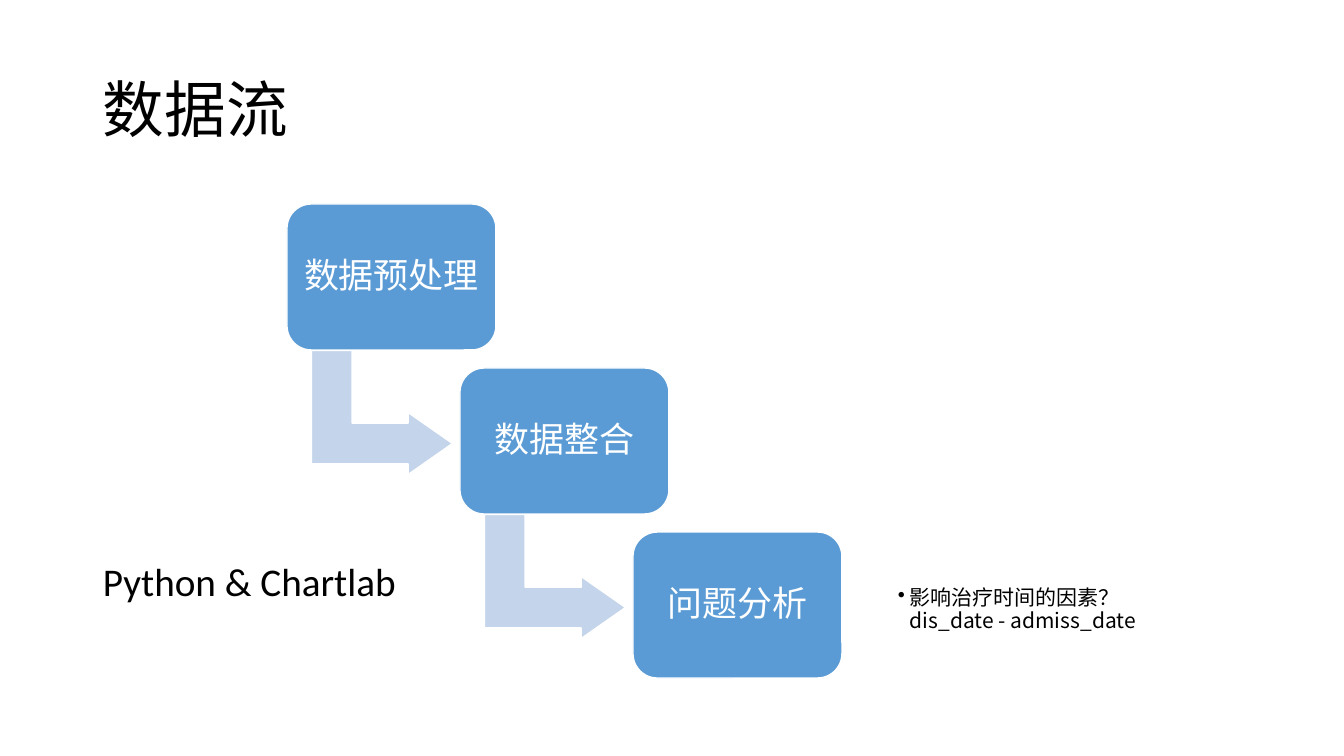
from lxml import etree
from pptx import Presentation
from pptx.dml.color import RGBColor
from pptx.enum.shapes import MSO_SHAPE
from pptx.enum.text import MSO_ANCHOR, PP_ALIGN
from pptx.oxml.ns import qn
from pptx.util import Emu, Pt

TITLE = "数据流"
STEPS = ["数据预处理", "数据整合", "问题分析"]
QUESTION = "影响治疗时间的因素？dis_date - admiss_date"
TOOLS = "Python & Chartlab"

SLIDE_SIZE = (1344, 756)
TITLE_BOX = (93, 40, 1159, 146)
QUESTION_BOX = (890, 551, 277, 118)
TOOLS_BOX = (93, 552, 335, 57)
FIRST_STEP = (287, 204)
STEP_SIZE = (209, 146)
STEP_SHIFT = (173, 164)
ARROW_OFFSET = (33, 138)
ARROW_SIZE = (124, 141)
ARROW_BENDS = (0.328, 0.25, 0.358)
BULLET_INDENT = 12

BLACK = RGBColor(0x00, 0x00, 0x00)
WHITE = RGBColor(0xFF, 0xFF, 0xFF)
BLUE = RGBColor(0x5B, 0x9B, 0xD5)
PALE_BLUE = RGBColor(0xC4, 0xD5, 0xEB)
CHINESE = "Noto Sans CJK SC"
LATIN = "Calibri"

MIDDLE, TOP = MSO_ANCHOR.MIDDLE, MSO_ANCHOR.TOP
LEFT, CENTER = PP_ALIGN.LEFT, PP_ALIGN.CENTER
ROUNDED = MSO_SHAPE.ROUNDED_RECTANGLE
BENT_ARROW = MSO_SHAPE.BENT_UP_ARROW


def px(length):
    """Turn pixels into EMU."""
    return Emu(round(length * 914400 / 100.8))


def write(shape, text, size, color=BLACK, face=CHINESE, align=LEFT,
          anchor=MIDDLE, spacing=0.9, inset=None):
    """Put one styled paragraph into a shape and return it."""
    frame = shape.text_frame
    frame.word_wrap = True
    frame.vertical_anchor = anchor
    if inset is not None:
        frame.margin_left = frame.margin_right = px(inset)
        frame.margin_top = frame.margin_bottom = px(inset)
    para = frame.paragraphs[0]
    para.text = text
    para.alignment = align
    para.line_spacing = spacing
    para.font.size = Pt(size)
    para.font.name = face
    para.font.color.rgb = color
    latin = para.font._element.find(qn("a:latin"))
    east_asian = etree.Element(qn("a:ea"), typeface=face)
    latin.addnext(east_asian)
    return para


def add_text(page, box, text, size, **style):
    """Add a text box and return its paragraph."""
    return write(page.shapes.add_textbox(*map(px, box)), text, size, **style)


def add_block(page, kind, place, size, fill, adjustments):
    """Add a filled preset shape with a thin white outline."""
    shape = page.shapes.add_shape(kind, *map(px, place + size))
    shape.shadow.inherit = False
    shape.fill.solid()
    shape.fill.fore_color.rgb = fill
    shape.line.color.rgb = WHITE
    shape.line.width = Pt(1)
    for index, value in enumerate(adjustments):
        shape.adjustments[index] = value
    return shape


def add_bullet(para):
    """Give a paragraph a hanging round bullet."""
    properties = para._p.get_or_add_pPr()
    indent = px(BULLET_INDENT)
    properties.set("marL", str(indent))
    properties.set("indent", str(-indent))
    bullet = etree.Element(qn("a:buChar"), char="•")
    properties.find(qn("a:defRPr")).addprevious(bullet)


def add_steps(page):
    """Draw the staircase of steps, with an arrow between neighbours."""
    for index, label in enumerate(STEPS):
        place = tuple(start + index * shift
                      for start, shift in zip(FIRST_STEP, STEP_SHIFT))
        if index < len(STEPS) - 1:
            corner = tuple(a + b for a, b in zip(place, ARROW_OFFSET))
            arrow = add_block(page, BENT_ARROW, corner, ARROW_SIZE,
                              PALE_BLUE, ARROW_BENDS)
            arrow.rotation = 90
        step = add_block(page, ROUNDED, place, STEP_SIZE, BLUE, [0.167])
        write(step, label, 25, color=WHITE, align=CENTER, inset=10)


deck = Presentation()
deck.slide_width, deck.slide_height = map(px, SLIDE_SIZE)
page = deck.slides.add_slide(deck.slide_layouts[6])
add_text(page, TITLE_BOX, TITLE, 44)
add_steps(page)
add_bullet(add_text(page, QUESTION_BOX, QUESTION, 15, inset=8))
add_text(page, TOOLS_BOX, TOOLS, 28, face=LATIN, anchor=TOP, spacing=1.0)
deck.save("out.pptx")
